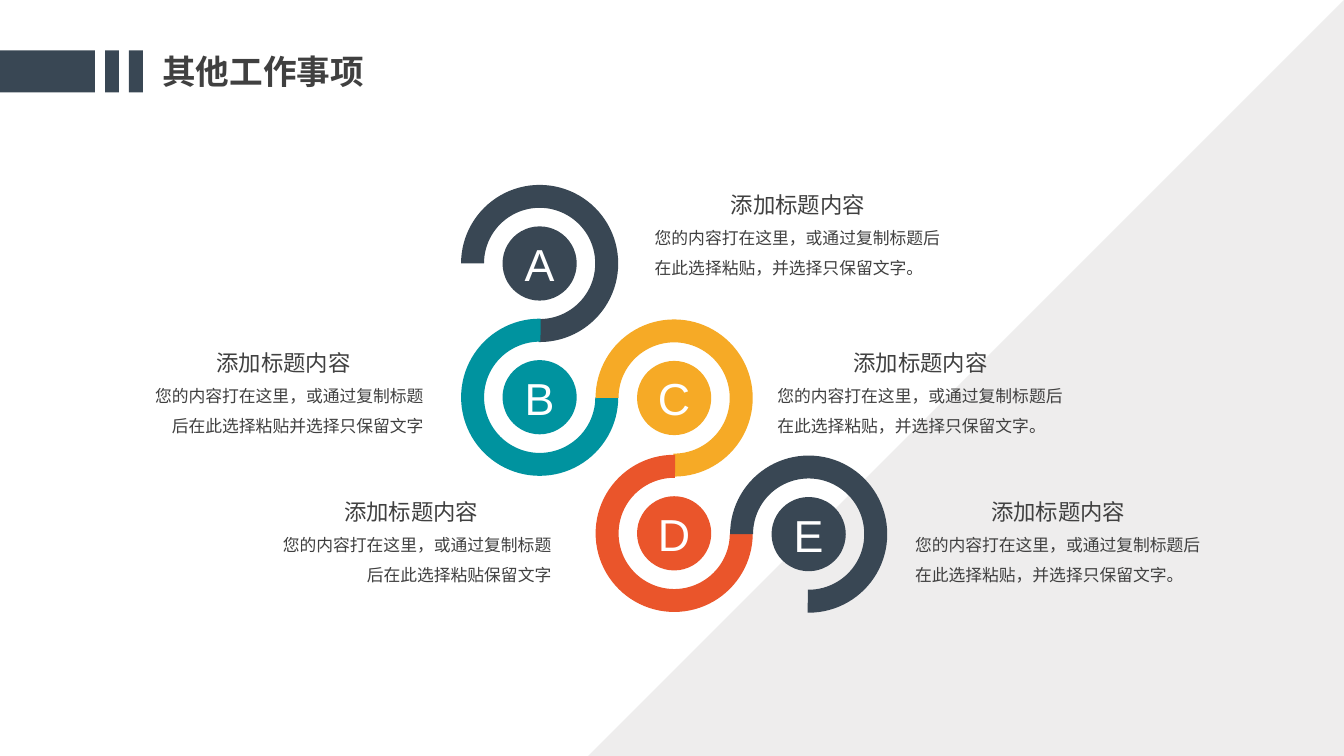
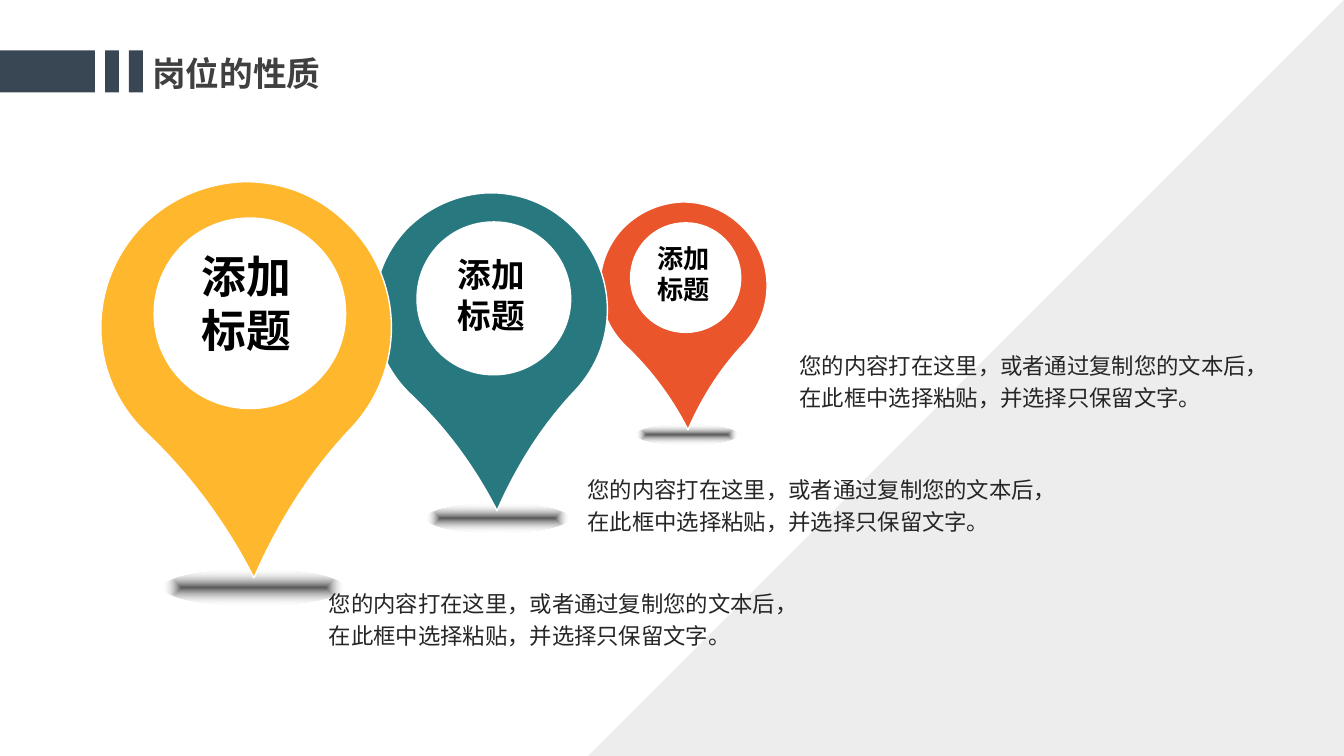
from dataclasses import dataclass

from pptx import Presentation
from pptx import util as u
from pptx.dml.color import RGBColor
from pptx.enum import shapes, text
from pptx.oxml import parse_xml
from pptx.oxml.ns import nsdecls, qn

SHAPE = shapes.MSO_SHAPE
ALIGN = text.PP_ALIGN
ANCHOR = text.MSO_ANCHOR


@dataclass(frozen=True)
class Theme:
    navy: str = "394754"
    teal: str = "00939F"
    amber: str = "F6AA26"
    orange: str = "EA552B"
    pin_teal: str = "287880"
    pin_yellow: str = "FFB72D"
    corner: str = "E7E6E6"
    white: str = "FFFFFF"
    black: str = "000000"
    heading: str = "404040"
    body: str = "262626"
    shadow_center: str = "595959"
    shadow_edge: str = "F2F2F2"
    latin: str = "Arial"
    chinese: str = "Noto Sans CJK SC"
    title_size: float = 24
    letter_size: float = 32
    item_title_size: float = 16
    item_size: float = 12
    body_size: float = 16
    item_line: float = 21.6
    body_line: float = 23
    line_ratio: float = 1.2


THEME = Theme()
SLIDE_WIDTH, SLIDE_HEIGHT = 33.87, 19.05
DEFAULT_INSETS = (0.25, 0.13, 0.25, 0.13)

PIN_WIDTH, PIN_HEIGHT = 289, 393
PIN_HOLE = [
    (148, 36),
    ((200, 36), (243, 78), (243, 131)),
    ((243, 183), (200, 225), (148, 225)),
    ((95, 225), (53, 183), (53, 131)),
    ((53, 78), (95, 36), (148, 36)),
]
PIN_OUTLINE = [
    (140, 0),
    ((103, 2), (67, 17), (39, 46)),
    ((-15, 104), (-13, 195), (46, 250)),
    ((88, 290), (124, 338), (152, 393)),
    ((177, 336), (209, 286), (249, 244)),
    ((304, 185), (301, 94), (243, 40)),
    ((214, 12), (177, -1), (140, 0)),
]


def set_values(target, values):
    for name, value in values.items():
        setattr(target, name, value)


def contour_elements(contour):
    steps = [("moveTo", contour[:1])] + [("cubicBezTo", curve) for curve in contour[1:]]
    for tag, points in steps + [("close", ())]:
        inner = "".join(f'<a:pt x="{x}" y="{y}"/>' for x, y in points)
        yield parse_xml(f'<a:{tag} {nsdecls("a")}>{inner}</a:{tag}>')


class Deck:
    def __init__(self, theme):
        self.theme = theme
        self.presentation = Presentation()
        set_values(self.presentation, {
            "slide_width": u.Cm(SLIDE_WIDTH), "slide_height": u.Cm(SLIDE_HEIGHT)})
        self.slide = None

    def add_slide(self, title, left, top, width):
        layout = self.presentation.slide_layouts[6]
        self.slide = self.presentation.slides.add_slide(layout)
        corner = self.add_shape(
            SHAPE.RIGHT_TRIANGLE, SLIDE_WIDTH - SLIDE_HEIGHT, 0,
            SLIDE_HEIGHT, SLIDE_HEIGHT, self.theme.corner)
        corner.rotation = 270
        color = next(corner._element.spPr.iter(qn("a:srgbClr")))
        color.append(parse_xml(f'<a:alpha {nsdecls("a")} val="70000"/>'))
        for bar_left, bar_width in ((0, 2.39), (2.65, 0.35), (3.25, 0.35)):
            self.add_shape(SHAPE.RECTANGLE, bar_left, 1.27, bar_width, 1.06,
                           self.theme.navy)
        size = self.theme.title_size
        box = self.add_text(left, top, width, 1.27, [
            self.paragraph(title, size, self.theme.heading, bold=True)])
        box.text_frame.word_wrap = False

    def paragraph(self, words, size, color, align=ALIGN.LEFT, line=None,
                  bold=False, font=None):
        return {
            "text": words,
            "format": {
                "alignment": align,
                "line_spacing": u.Pt(line or size * self.theme.line_ratio)},
            "font": {"name": font or self.theme.latin, "size": u.Pt(size), "bold": bold},
            "color": color,
        }

    def fill_text(self, shape, paragraphs, insets=DEFAULT_INSETS, anchor=ANCHOR.TOP):
        frame = shape.text_frame
        sides = ("margin_left", "margin_top", "margin_right", "margin_bottom")
        set_values(frame, {"word_wrap": True, "vertical_anchor": anchor,
                           **dict(zip(sides, map(u.Cm, insets)))})
        for index, entry in enumerate(paragraphs):
            paragraph = frame.add_paragraph() if index else frame.paragraphs[0]
            set_values(paragraph, entry["format"])
            run = paragraph.add_run()
            run.text = entry["text"]
            set_values(run.font, entry["font"])
            run.font.color.rgb = RGBColor.from_string(entry["color"])
            run.font._element.append(parse_xml(
                f'<a:ea {nsdecls("a")} typeface="{self.theme.chinese}"/>'))

    def add_text(self, left, top, width, height, paragraphs, insets=DEFAULT_INSETS):
        box = self.slide.shapes.add_textbox(*map(u.Cm, (left, top, width, height)))
        self.fill_text(box, paragraphs, insets)
        return box

    def add_shape(self, kind, left, top, width, height, color=None):
        shape = self.slide.shapes.add_shape(
            kind, *map(u.Cm, (left, top, width, height)))
        shape.shadow.inherit = False
        shape.line.fill.background()
        if color:
            shape.fill.solid()
            shape.fill.fore_color.rgb = RGBColor.from_string(color)
        return shape

    def add_arc(self, left, top, size, color, rotation):
        arc = self.add_shape(SHAPE.BLOCK_ARC, left, top, size, size, color)
        for index, value in enumerate((108, 54.453, 0.146)):
            arc.adjustments[index] = value
        arc.rotation = rotation

    def add_disc(self, left, top, size, color, letter):
        disc = self.add_shape(SHAPE.OVAL, left, top, size, size, color)
        entry = self.paragraph(letter, self.theme.letter_size, self.theme.white,
                               ALIGN.CENTER)
        entry["format"]["line_spacing"] = 1.0
        self.fill_text(disc, [entry], anchor=ANCHOR.MIDDLE)

    def add_item(self, left, top, width, words, align):
        theme = self.theme
        self.add_text(left, top, width, 2.49, [
            self.paragraph("添加标题内容", theme.item_title_size, theme.heading,
                           ALIGN.CENTER),
            self.paragraph(words, theme.item_size, theme.heading, align,
                           theme.item_line)])

    def add_body(self, left, top, width, height, words):
        theme = self.theme
        self.add_text(left, top, width, height, [
            self.paragraph(words, theme.body_size, theme.body,
                           line=theme.body_line, font=theme.chinese)],
            (0.33, 0.16, 0.33, 0.16))

    def add_pin_shadow(self, left, top, width, height):
        theme = self.theme
        shadow = self.add_shape(SHAPE.OVAL, left, top, width, height)
        shadow._element.spPr.insert(2, parse_xml(
            f'<a:gradFill {nsdecls("a")} rotWithShape="1"><a:gsLst>'
            f'<a:gs pos="0"><a:srgbClr val="{theme.shadow_center}"/></a:gs>'
            f'<a:gs pos="100000"><a:srgbClr val="{theme.shadow_edge}">'
            '<a:alpha val="0"/></a:srgbClr></a:gs></a:gsLst>'
            '<a:path path="shape"><a:fillToRect l="50000" t="50000" '
            'r="50000" b="50000"/></a:path></a:gradFill>'))

    def add_pin(self, left, top, width, color, size, bottom_inset):
        builder = self.slide.shapes.build_freeform(0, 0)
        builder.add_line_segments([(PIN_WIDTH, 0), (PIN_WIDTH, PIN_HEIGHT)])
        pin = builder.convert_to_shape()
        outline = next(pin._element.spPr.iter(qn("a:path")))
        outline[:] = [*contour_elements(PIN_HOLE), *contour_elements(PIN_OUTLINE)]
        set_values(pin, {
            "left": u.Cm(left), "top": u.Cm(top), "width": u.Cm(width),
            "height": u.Cm(width * PIN_HEIGHT / PIN_WIDTH)})
        pin.shadow.inherit = False
        pin.fill.solid()
        pin.fill.fore_color.rgb = RGBColor.from_string(color)
        pin.line.width = u.Pt(1)
        pin.line.color.rgb = RGBColor.from_string(self.theme.white)
        self.fill_text(pin, [
            self.paragraph(words, size, self.theme.black, ALIGN.CENTER, bold=True)
            for words in ("添加", "标题")],
            (0, 0, 0, bottom_inset), ANCHOR.MIDDLE)


def build_chain(deck):
    theme = deck.theme
    deck.add_slide("其他工作事项", 3.84, 1.15, 5.64)
    chain_left, step = 11.62, 3.39
    arc_size, disc_size = 3.96, 1.87
    disc_offset = (arc_size - disc_size) / 2
    links = [
        ("A", 0, 4.66, theme.navy),
        ("B", 0, 8.03, theme.teal),
        ("C", 1, 8.05, theme.amber),
        ("D", 1, 11.46, theme.orange),
        ("E", 2, 11.48, theme.navy),
    ]
    for index, (letter, column, top, color) in enumerate(links):
        left = chain_left + column * step
        deck.add_arc(left, top, arc_size, color, 180 * (index % 2))
        deck.add_disc(left + disc_offset, top + disc_offset, disc_size, color, letter)

    right_words = "您的内容打在这里，或通过复制标题后在此选择粘贴，并选择只保留文字。"
    for left, top in ((16.25, 4.68), (19.34, 8.66), (22.81, 12.42)):
        deck.add_item(left, top, 7.72, right_words, ALIGN.LEFT)
    for left, top, ending in ((3.36, 8.66, "并选择只保留文字"), (6.58, 12.42, "保留文字")):
        words = "您的内容打在这里，或通过复制标题后在此选择粘贴" + ending
        deck.add_item(left, top, 7.57, words, ALIGN.RIGHT)


def build_pins(deck):
    theme = deck.theme
    deck.add_slide("岗位的性质", 3.59, 1.2, 4.78)
    for place in ((16.05, 10.69, 2.54, 0.51), (10.74, 12.7, 3.58, 0.71),
                  (4.13, 14.35, 4.52, 0.91)):
        deck.add_pin_shadow(*place)
    words = "您的内容打在这里，或者通过复制您的文本后，在此框中选择粘贴，并选择只保留文字。"
    for place in ((7.96, 14.58, 12.4, 2.95), (14.48, 11.71, 11.94, 2.82),
                  (19.82, 8.58, 12.29, 2.87)):
        deck.add_body(*place, words)
    for pin in ((15.12, 5.09, 4.22, theme.orange, 18.7, 2.13),
                (9.43, 4.86, 5.89, theme.pin_teal, 24, 2.88),
                (2.54, 4.58, 7.34, theme.pin_yellow, 32, 3.91)):
        deck.add_pin(*pin)


def main():
    deck = Deck(THEME)
    build_chain(deck)
    build_pins(deck)
    deck.presentation.save("out.pptx")


if __name__ == "__main__":
    main()
